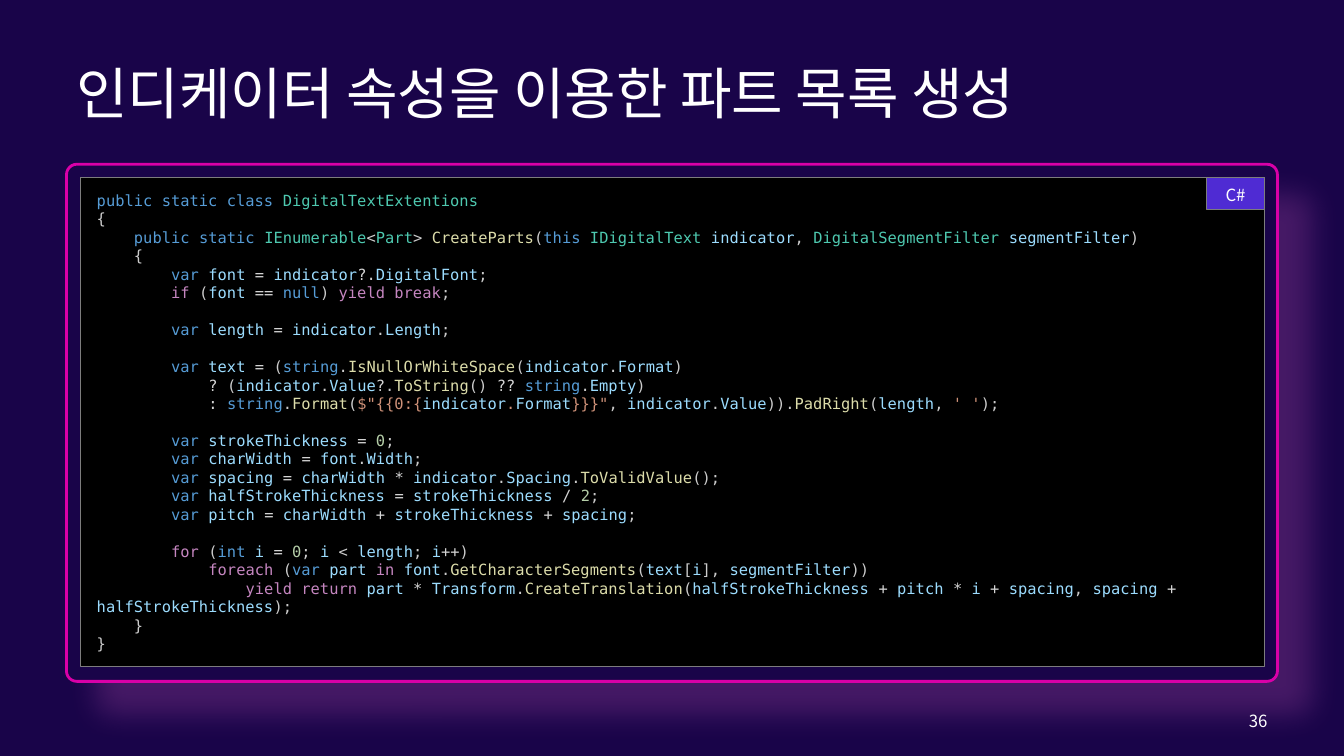
from itertools import groupby

from pptx import Presentation
from pptx import util as u
from pptx.dml.color import RGBColor
from pptx.enum import shapes, text
from pptx.oxml import ns, parse_xml

SLIDE_W, SLIDE_H = u.Inches(13.33), u.Inches(7.5)
SANS, MONO = "Noto Sans CJK KR", "DejaVu Sans Mono"
NAVY, VIOLET, PINK, GREY, WHITE = "190449", "4F2BD3", "D900A8", "7D7D7D", "FFFFFF"
CODE_LINE = 13.2

# Places are left, top, width, height in percent of the slide
FRAME = (4.95, 21.73, 90.1, 68.4)
TITLE = (4.95, 5.33, 90.1, 13.73)
NUMBER = (83.35, 92.67, 11.7, 5.33)
PANEL = (6, 23.47, 88.07, 64.67)
BADGE_W, BADGE_H = 4.28, 4.27
BADGE = (PANEL[0] + PANEL[2] - BADGE_W, PANEL[1], BADGE_W, BADGE_H)

WORD_COLOURS = {
    "569CD6": "public static class this var null string int",
    "C586C0": "if yield break for foreach in return",
    "4EC9B0": "DigitalTextExtentions IEnumerable Part IDigitalText DigitalSegmentFilter",
}
COLOUR_OF = {word: c for c, words in WORD_COLOURS.items() for word in words.split()}
PLAIN, OPERATOR, METHOD = "CCCCCC", "D4D4D4", "DCDCAA"
VARIABLE, NUMERAL, LITERAL = "9CDCFE", "B5CEA8", "CE9178"

# § switches string colouring on and off; an empty line makes a gap
CODE = [
    "public static class DigitalTextExtentions",
    "{",
    "    public static IEnumerable<Part> CreateParts(this IDigitalText indicator, "
    "DigitalSegmentFilter segmentFilter)",
    "    {",
    "        var font = indicator?.DigitalFont;",
    "        if (font == null) yield break;",
    "",
    "        var length = indicator.Length;",
    "",
    "        var text = (string.IsNullOrWhiteSpace(indicator.Format)",
    "            ? (indicator.Value?.ToString() ?? string.Empty)",
    "            : string.Format(§$\"{{0:{§indicator§.§Format§}}}\"§, "
    "indicator.Value)).PadRight(length, §' '§);",
    "",
    "        var strokeThickness = 0;",
    "        var charWidth = font.Width;",
    "        var spacing = charWidth * indicator.Spacing.ToValidValue();",
    "        var halfStrokeThickness = strokeThickness / 2;",
    "        var pitch = charWidth + strokeThickness + spacing;",
    "",
    "        for (int i = 0; i < length; i++)",
    "            foreach (var part in font.GetCharacterSegments(text[i], segmentFilter))",
    "                yield return part * Transform.CreateTranslation("
    "halfStrokeThickness + pitch * i + spacing, spacing + halfStrokeThickness);",
    "    }",
    "}",
]


def rgb(hex_colour):
    return RGBColor.from_string(hex_colour)


def box(place):
    left, top, width, height = place
    return [round(share * side / 100) for share, side in
            ((left, SLIDE_W), (top, SLIDE_H), (width, SLIDE_W), (height, SLIDE_H))]


def add_panel(s, kind, place, fill, line, weight):
    sp = s.shapes.add_shape(kind, *box(place))
    sp.shadow.inherit = False
    sp.fill.solid()
    sp.fill.fore_color.rgb = rgb(fill)
    sp.line.color.rgb = rgb(line)
    sp.line.width = u.Pt(weight)
    return sp


def add_glow(sp):
    """Give the shape a soft pink shadow down and to the right."""
    effects = sp._element.spPr.find(ns.qn("a:effectLst"))
    effects.append(parse_xml(
        f'<a:outerShdw {ns.nsdecls("a")} blurRad="{u.Pt(22)}" dist="{u.Pt(32)}" '
        'dir="2700000" algn="tl" rotWithShape="0">'
        '<a:srgbClr val="E566CC"><a:alpha val="21000"/></a:srgbClr></a:outerShdw>'))


def set_insets(tf, x, y):
    tf.margin_left = tf.margin_right = u.Inches(x)
    tf.margin_top = tf.margin_bottom = u.Inches(y)


def write_label(sp, label, size, align):
    tf = sp.text_frame
    tf.word_wrap = True
    tf.vertical_anchor = text.MSO_ANCHOR.MIDDLE
    p = tf.paragraphs[0]
    p.text = label
    p.alignment = align
    p.font.size = u.Pt(size)
    p.font.name = SANS
    p.font.color.rgb = rgb(WHITE)
    defaults = p._p.pPr.find(ns.qn("a:defRPr"))
    defaults.append(parse_xml(f'<a:ea {ns.nsdecls("a")} typeface="{SANS}"/>'))
    return p


def char_class(ch):
    return "word" if ch.isalnum() else "space" if ch.isspace() else ch


def token_colour(token, following):
    if token.isdigit():
        return NUMERAL
    if token.isalnum():
        method = following == "(" and token[0].isupper()
        return COLOUR_OF.get(token, METHOD if method else VARIABLE)
    return OPERATOR if token[0] in "=?:*/+" else PLAIN


def coloured_tokens(line):
    """Yield (token, colour); a space takes the colour before it."""
    colour = PLAIN
    for n, part in enumerate(line.split("§")):
        if n % 2:
            yield part, LITERAL
            continue
        tokens = ["".join(g) for _, g in groupby(part, char_class)]
        for token, following in zip(tokens, tokens[1:] + [""]):
            if not token.isspace():
                colour = token_colour(token, following[:1])
            yield token, colour


def write_code(sp, lines):
    tf = sp.text_frame
    tf.word_wrap = True
    tf.vertical_anchor = text.MSO_ANCHOR.MIDDLE
    set_insets(tf, 0.16, 0.12)
    p = tf.paragraphs[0]
    gap = 0
    for n, line in enumerate(lines):
        if not line:
            gap = CODE_LINE
            continue
        if n:
            p = tf.add_paragraph()
        p.alignment = text.PP_ALIGN.LEFT
        p.line_spacing = u.Pt(CODE_LINE)
        p.space_before = u.Pt(gap)
        p.font.size = u.Pt(11)
        p.font.name = MONO
        gap = 0
        for colour, group in groupby(coloured_tokens(line), lambda pair: pair[1]):
            r = p.add_run()
            r.text = "".join(token for token, _ in group)
            r.font.color.rgb = rgb(colour)


def main():
    prs = Presentation()
    prs.slide_width, prs.slide_height = SLIDE_W, SLIDE_H
    s = prs.slides.add_slide(prs.slide_layouts[6])
    s.background.fill.solid()
    s.background.fill.fore_color.rgb = rgb(NAVY)

    rect = shapes.MSO_SHAPE.RECTANGLE
    frame = add_panel(s, shapes.MSO_SHAPE.ROUNDED_RECTANGLE, FRAME, NAVY, PINK, 2)
    frame.adjustments[0] = 0.02
    add_glow(frame)

    write_label(s.shapes.add_textbox(*box(TITLE)), "인디케이터 속성을 이용한 파트 목록 생성",
                40, text.PP_ALIGN.LEFT)
    write_label(s.shapes.add_textbox(*box(NUMBER)), "36", 12, text.PP_ALIGN.RIGHT)

    write_code(add_panel(s, rect, PANEL, "000000", GREY, 0.75), CODE)

    badge = add_panel(s, rect, BADGE, VIOLET, GREY, 0.75)
    set_insets(badge.text_frame, 0, 0)
    write_label(badge, "C#", 12, text.PP_ALIGN.CENTER).line_spacing = 1.1

    prs.save("out.pptx")


if __name__ == "__main__":
    main()
